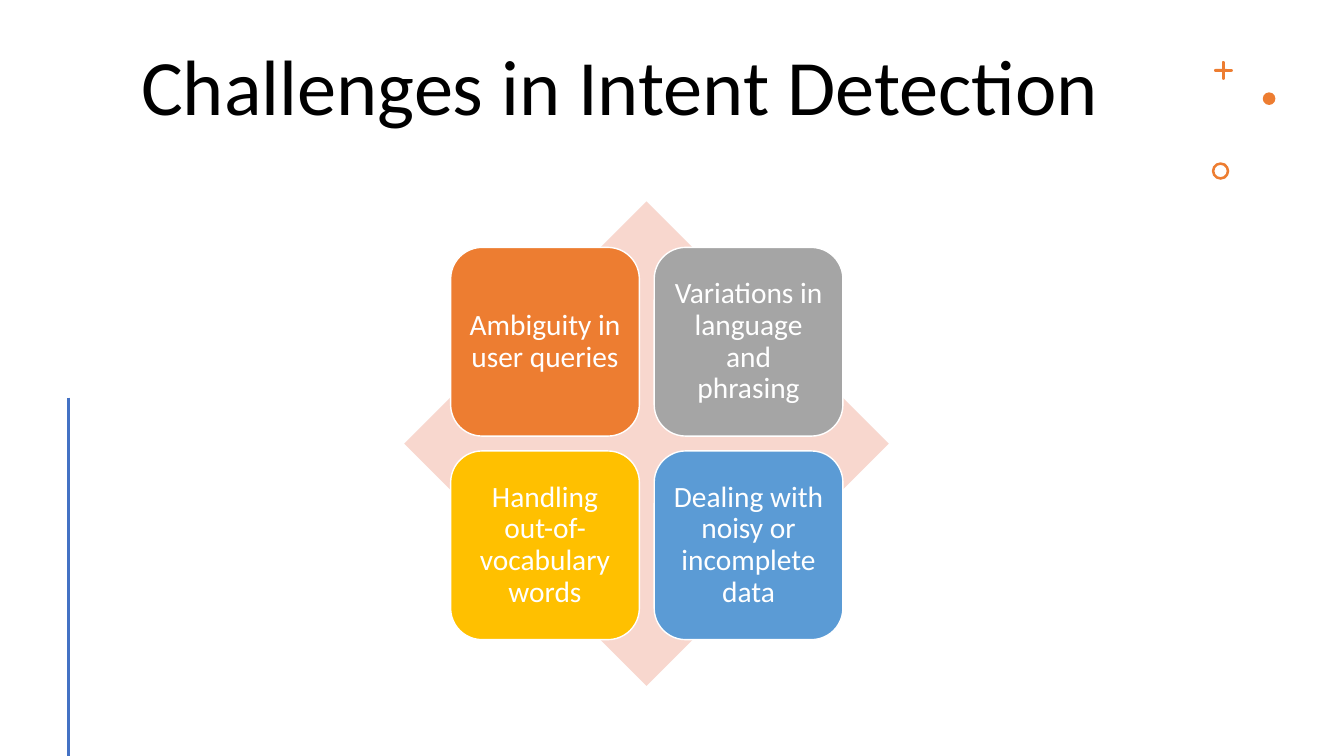
from pptx import Presentation
from pptx.dml.color import RGBColor
from pptx.enum import shapes as sh, text as tx
from pptx.oxml.ns import qn
from pptx.util import Pt
from lxml import etree

BLACK = RGBColor(0x00, 0x00, 0x00)
WHITE = RGBColor(0xFF, 0xFF, 0xFF)
ORANGE = RGBColor(0xED, 0x7D, 0x31)
GRAY = RGBColor(0xA5, 0xA5, 0xA5)
GOLD = RGBColor(0xFF, 0xC0, 0x00)
SKY = RGBColor(0x5B, 0x9B, 0xD5)
BLUE = RGBColor(0x44, 0x72, 0xC4)
PINK = RGBColor(0xF8, 0xD7, 0xCE)

KIND = sh.MSO_SHAPE
ALIGN = tx.PP_ALIGN
ANCHOR = tx.MSO_ANCHOR

TILES = [
    ("Ambiguity in user queries", ORANGE),
    ("Variations in language and phrasing", GRAY),
    ("Handling out-of-vocabulary words", GOLD),
    ("Dealing with noisy or incomplete data", SKY),
]
SIDE, PITCH = 134.8, 145.4
LEFT, TOP = 321.9, 176.7


def write(frame, words, size, color, align, anchor, inset):
    """Fill a text frame with one formatted paragraph; inset is (x, y)."""
    frame.word_wrap = True
    frame.auto_size = tx.MSO_AUTO_SIZE.NONE
    frame.vertical_anchor = anchor
    frame.margin_left = frame.margin_right = Pt(inset[0])
    frame.margin_top = frame.margin_bottom = Pt(inset[1])
    para = frame.paragraphs[0]
    para.alignment = align
    para.line_spacing = 0.9
    run = para.add_run()
    run.text = words
    run.font.name = "Calibri"
    run.font.size = Pt(size)
    run.font.color.rgb = color


class Board:
    def __init__(self, deck):
        self.slide = deck.slides.add_slide(deck.slide_layouts[5])

    def title(self, words, x, y, w, h):
        box = self.slide.shapes.title
        box.left, box.top, box.width, box.height = map(Pt, (x, y, w, h))
        write(box.text_frame, words, size=56, color=BLACK,
              align=ALIGN.LEFT, anchor=ANCHOR.TOP, inset=(7.2, 3.6))

    def shape(self, kind, x, y, w, h, fill, edge=None):
        item = self.slide.shapes.add_shape(kind, *map(Pt, (x, y, w, h)))
        item.shadow.inherit = False
        item.fill.solid()
        item.fill.fore_color.rgb = fill
        if edge is None:
            item.line.fill.background()
        else:
            item.line.color.rgb = edge
            item.line.width = Pt(1)
        return item

    def tile(self, words, x, y, fill):
        item = self.shape(KIND.ROUNDED_RECTANGLE, x, y, SIDE, SIDE, fill, WHITE)
        write(item.text_frame, words, size=21, color=WHITE,
              align=ALIGN.CENTER, anchor=ANCHOR.MIDDLE, inset=(6.4, 6.4))

    def line(self, x1, y1, x2, y2, color, width):
        item = self.slide.shapes.add_connector(
            sh.MSO_CONNECTOR.STRAIGHT, *map(Pt, (x1, y1, x2, y2)))
        item.line.color.rgb = color
        item.line.width = Pt(width)
        etree.SubElement(item._element.spPr, qn("a:effectLst"))

    def plus(self, x, y, size, thick, color):
        """Cross two round-ended bars centred on (x, y)."""
        for w, h in ((size, thick), (thick, size)):
            bar = self.shape(KIND.ROUNDED_RECTANGLE, x - w / 2, y - h / 2, w, h, color)
            bar.adjustments[0] = 0.5

    def ring(self, x, y, size, color):
        item = self.shape(KIND.DONUT, x, y, size, size, color)
        item.adjustments[0] = 0.15


def main():
    deck = Presentation()
    deck.slide_width, deck.slide_height = Pt(960), Pt(540)
    board = Board(deck)
    board.title("Challenges in Intent Detection", 93.6, 30.2, 736.6, 94.3)

    board.plus(873.9, 50.3, 13.4, 2, ORANGE)
    board.shape(KIND.OVAL, 902, 66, 9, 9, ORANGE)
    board.ring(865.6, 115.9, 12.5, ORANGE)
    board.line(49, 284, 49, 540, BLUE, 2)

    board.shape(KIND.DIAMOND, 288.7, 143.8, 346.2, 346.2, PINK)
    for i, (words, fill) in enumerate(TILES):
        row, col = divmod(i, 2)
        board.tile(words, LEFT + col * PITCH, TOP + row * PITCH, fill)

    deck.save("out.pptx")


if __name__ == "__main__":
    main()
